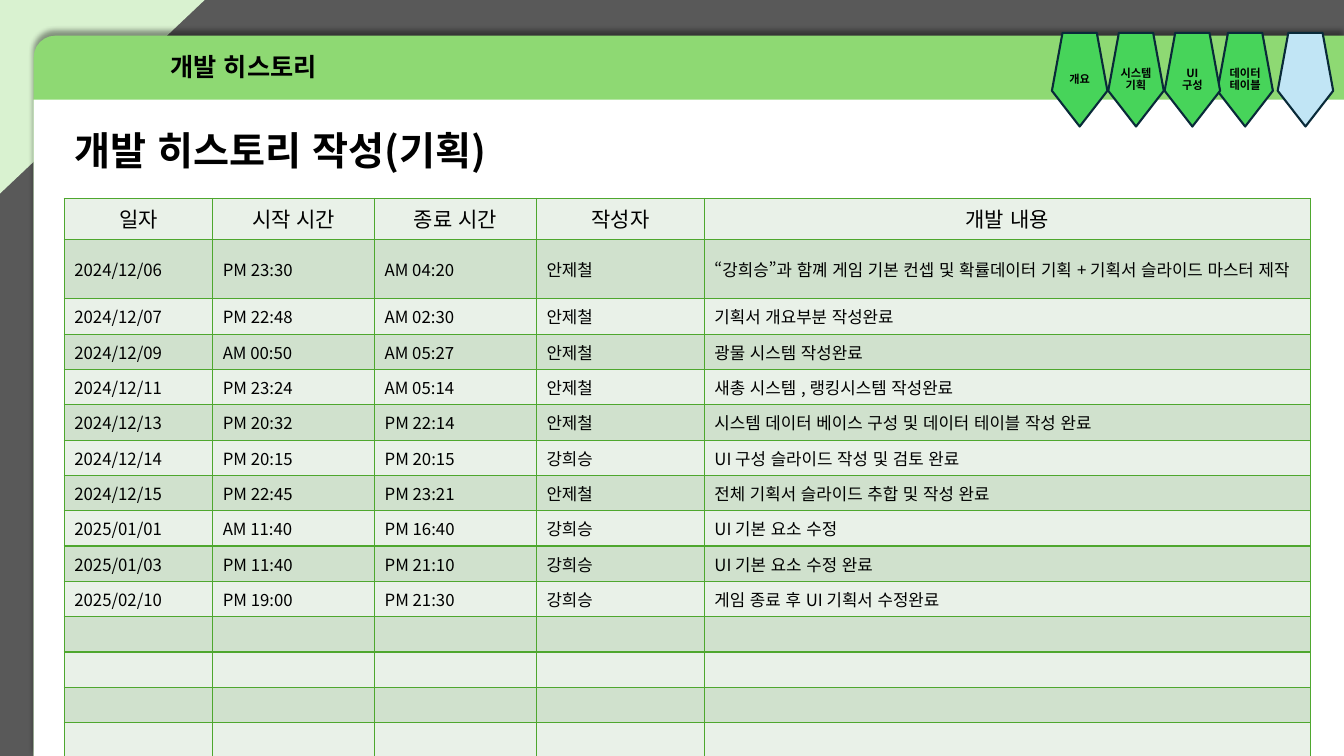
"""Build the development history slide of a game design document."""
from lxml import etree
from pptx import Presentation
from pptx.dml.color import RGBColor
from pptx.enum.shapes import MSO_SHAPE
from pptx.enum.text import MSO_ANCHOR, MSO_AUTO_SIZE, PP_ALIGN
from pptx.oxml import parse_xml
from pptx.oxml.ns import nsdecls, qn
from pptx.util import Cm, Pt

RECTANGLE = MSO_SHAPE.RECTANGLE
ROUND_CORNER = MSO_SHAPE.ROUND_1_RECTANGLE
TRIANGLE = MSO_SHAPE.RIGHT_TRIANGLE
PENTAGON = MSO_SHAPE.REGULAR_PENTAGON
LEFT, CENTER = PP_ALIGN.LEFT, PP_ALIGN.CENTER
TOP, MIDDLE = MSO_ANCHOR.TOP, MSO_ANCHOR.MIDDLE
NO_AUTOFIT = MSO_AUTO_SIZE.NONE

BLACK = RGBColor(0x00, 0x00, 0x00)
WHITE = RGBColor(0xFF, 0xFF, 0xFF)
GRAY = RGBColor(0x59, 0x59, 0x59)
PALE_GREEN = RGBColor(0xD9, 0xF2, 0xD0)
BAND_GREEN = RGBColor(0x8E, 0xD9, 0x73)
TAB_GREEN = RGBColor(0x47, 0xD4, 0x5A)
TAB_BLUE = RGBColor(0xC1, 0xE5, 0xF5)
TAB_LINE = RGBColor(0x09, 0x2A, 0x39)
TITLE_OUTLINE = RGBColor(0x92, 0xD0, 0x50)
GRID_GREEN = RGBColor(0x4E, 0xA7, 0x2E)
ROW_FILLS = (RGBColor(0xE9, 0xF1, 0xE8), RGBColor(0xD0, 0xE1, 0xCD))
FONT = "Noto Sans CJK KR"

SLIDE_WIDTH, SLIDE_HEIGHT = 33.87, 19.05
TITLE = "개발 히스토리 작성(기획)"
SECTION = "개발 히스토리"
BACKDROP = [
    (RECTANGLE, (0, 0, SLIDE_WIDTH, SLIDE_HEIGHT), GRAY),
    (TRIANGLE, (0, 0, 5.16, 4.88), PALE_GREEN),
    (ROUND_CORNER, (0.85, 0.9, 33.02, 18.15), BAND_GREEN),
    (RECTANGLE, (0.85, 2.51, 33.02, 16.54), WHITE),
]
TABS = [
    (32.2, TAB_BLUE, "", 0),
    (30.68, TAB_GREEN, "데이터테이블", 1.47),
    (29.35, TAB_GREEN, "UI\v구성", 1.22),
    (27.93, TAB_GREEN, "시스템기획", 1.47),
    (26.51, TAB_GREEN, "개요", 1.22),
]
TAB_TOP, TAB_WIDTH, TAB_HEIGHT = 0.83, 1.4, 2.36
LABEL_TOP, LABEL_HEIGHT = 1.27, 1.5
TABLE_LEFT, TABLE_TOP = 1.62, 5.0
COLUMN_WIDTHS = (3.74, 4.08, 4.08, 4.23, 15.27)
HEADER_HEIGHT, TALL_HEIGHT, ROW_HEIGHT = 1.04, 1.49, 0.89
CONTENT_MARGIN = 0.5
BLANK_ROWS = 4
HEADER = ("일자", "시작 시간", "종료 시간", "작성자", "개발 내용")
HISTORY = [
    ("2024/12/06", "PM 23:30", "AM 04:20", "안제철",
     "“강희승”과 함꼐 게임 기본 컨셉 및 확률데이터 기획 + 기획서 슬라이드 마스터 제작"),
    ("2024/12/07", "PM 22:48", "AM 02:30", "안제철", "기획서 개요부분 작성완료"),
    ("2024/12/09", "AM 00:50", "AM 05:27", "안제철", "광물 시스템 작성완료"),
    ("2024/12/11", "PM 23:24", "AM 05:14", "안제철", "새총 시스템 , 랭킹시스템 작성완료"),
    ("2024/12/13", "PM 20:32", "PM 22:14", "안제철",
     "시스템 데이터 베이스 구성 및 데이터 테이블 작성 완료"),
    ("2024/12/14", "PM 20:15", "PM 20:15", "강희승", "UI 구성 슬라이드 작성 및 검토 완료"),
    ("2024/12/15", "PM 22:45", "PM 23:21", "안제철", "전체 기획서 슬라이드 추합 및 작성 완료"),
    ("2025/01/01", "AM 11:40", "PM 16:40", "강희승", "UI 기본 요소 수정"),
    ("2025/01/03", "PM 11:40", "PM 21:10", "강희승", "UI 기본 요소 수정 완료"),
    ("2025/02/10", "PM 19:00", "PM 21:30", "강희승", "게임 종료 후 UI 기획서 수정완료"),
]


def write_text(frame, text, size=12, bold=False, align=LEFT, spacing=1.0, outline=None):
    """Write one formatted paragraph into a text frame."""
    frame.word_wrap = True
    frame.text = text
    paragraph = frame.paragraphs[0]
    paragraph.alignment = align
    paragraph.line_spacing = spacing
    paragraph.space_before = Pt(0)
    for run in paragraph.runs:
        run.font.size, run.font.bold, run.font.name = Pt(size), bold, FONT
        run.font.color.rgb = BLACK
        properties = run.font._element
        properties.set("lang", "ko-KR")
        latin = properties.find(qn("a:latin"))
        latin.addnext(parse_xml(f'<a:ea {nsdecls("a")} typeface="{FONT}"/>'))
        if outline:
            properties.insert(0, line_xml("ln", outline, 0.75))
    if not text:
        etree.SubElement(paragraph._p, qn("a:endParaRPr"), sz=str(size * 100))


def line_xml(tag, color, width):
    """Return a solid line element."""
    return parse_xml(f'<a:{tag} {nsdecls("a")} w="{Pt(width)}"><a:solidFill>'
                     f'<a:srgbClr val="{color}"/></a:solidFill></a:{tag}>')


def place(shape, box):
    """Set the position and size of a shape in centimetres."""
    shape.left, shape.top, shape.width, shape.height = map(Cm, box)


def add_plain_shape(slide, kind, box, fill, line=None):
    """Add a filled shape without shadow."""
    shape = slide.shapes.add_shape(kind, *map(Cm, box))
    shape.shadow.inherit = False
    shape.fill.solid()
    shape.fill.fore_color.rgb = fill
    if line:
        shape.line.color.rgb = line
        shape.line.width = Pt(1.5)
    else:
        shape.line.fill.background()
    if kind in (TRIANGLE, PENTAGON):
        shape.element.spPr.xfrm.set("flipV", "1")
    return shape


def add_backdrop(slide):
    """Add the background, corner, green band and white page."""
    for kind, box, fill in BACKDROP:
        shape = add_plain_shape(slide, kind, box, fill)
        if kind == ROUND_CORNER:
            shape.adjustments[0] = 0.03
            shape.element.spPr.xfrm.set("flipH", "1")
            effects = shape.element.spPr.find(qn("a:effectLst"))
            effects.append(parse_xml(
                f'<a:outerShdw {nsdecls("a")} blurRad="{Pt(4)}" dist="{Pt(3)}" '
                'dir="16200000" rotWithShape="0"><a:srgbClr val="000000">'
                '<a:alpha val="40000"/></a:srgbClr></a:outerShdw>'))


def add_label(slide, text, box, size):
    """Add a centred bold label."""
    frame = slide.shapes.add_textbox(*map(Cm, box)).text_frame
    frame.vertical_anchor = MIDDLE
    write_text(frame, text, size=size, bold=True, align=CENTER, spacing=0.9)


def add_tabs(slide):
    """Add the pentagon tabs and their labels."""
    for left, fill, _, _ in TABS:
        box = (left, TAB_TOP, TAB_WIDTH, TAB_HEIGHT)
        add_plain_shape(slide, PENTAGON, box, fill, line=TAB_LINE)
    for left, _, text, width in TABS:
        if text:
            label_left = left + (TAB_WIDTH - width) / 2
            add_label(slide, text, (label_left, LABEL_TOP, width, LABEL_HEIGHT), 8)


def add_history(slide):
    """Add the history table with alternating row fills."""
    rows = [HEADER] + HISTORY + [("",) * len(HEADER)] * BLANK_ROWS
    heights = [HEADER_HEIGHT, TALL_HEIGHT] + [ROW_HEIGHT] * (len(rows) - 2)
    table = slide.shapes.add_table(
        len(rows), len(HEADER), Cm(TABLE_LEFT), Cm(TABLE_TOP),
        Cm(sum(COLUMN_WIDTHS)), Cm(sum(heights))).table
    table.first_row = table.horz_banding = False
    for column, width in zip(table.columns, COLUMN_WIDTHS):
        column.width = Cm(width)
    for index, values in enumerate(rows):
        table.rows[index].height = Cm(heights[index])
        header = index == 0
        for column, text in enumerate(values):
            cell = table.cell(index, column)
            write_text(cell.text_frame, text, size=15 if header else 12,
                       align=CENTER if header else LEFT)
            cell.vertical_anchor = TOP if header else MIDDLE
            if not header and column == len(HEADER) - 1:
                cell.margin_right = Cm(CONTENT_MARGIN)
            for side in ("lnL", "lnR", "lnT", "lnB"):
                cell._tc.get_or_add_tcPr().append(line_xml(side, GRID_GREEN, 1))
            cell.fill.solid()
            cell.fill.fore_color.rgb = ROW_FILLS[index % 2]


def main():
    """Assemble and save the slide."""
    presentation = Presentation()
    presentation.slide_width, presentation.slide_height = Cm(SLIDE_WIDTH), Cm(SLIDE_HEIGHT)
    slide = presentation.slides.add_slide(presentation.slide_layouts[5])
    add_backdrop(slide)
    title = slide.shapes.title
    title.element.getparent().append(title.element)
    place(title, (1.62, 3.2, 12.04, 1.4))
    title.text_frame.auto_size = NO_AUTOFIT
    title.text_frame.vertical_anchor = TOP
    write_text(title.text_frame, TITLE, size=28, bold=True, spacing=0.9,
               outline=TITLE_OUTLINE)
    add_label(slide, SECTION, (0.97, 0.97, 10.34, 1.5), 18)
    add_history(slide)
    add_tabs(slide)
    presentation.save("out.pptx")


if __name__ == "__main__":
    main()
